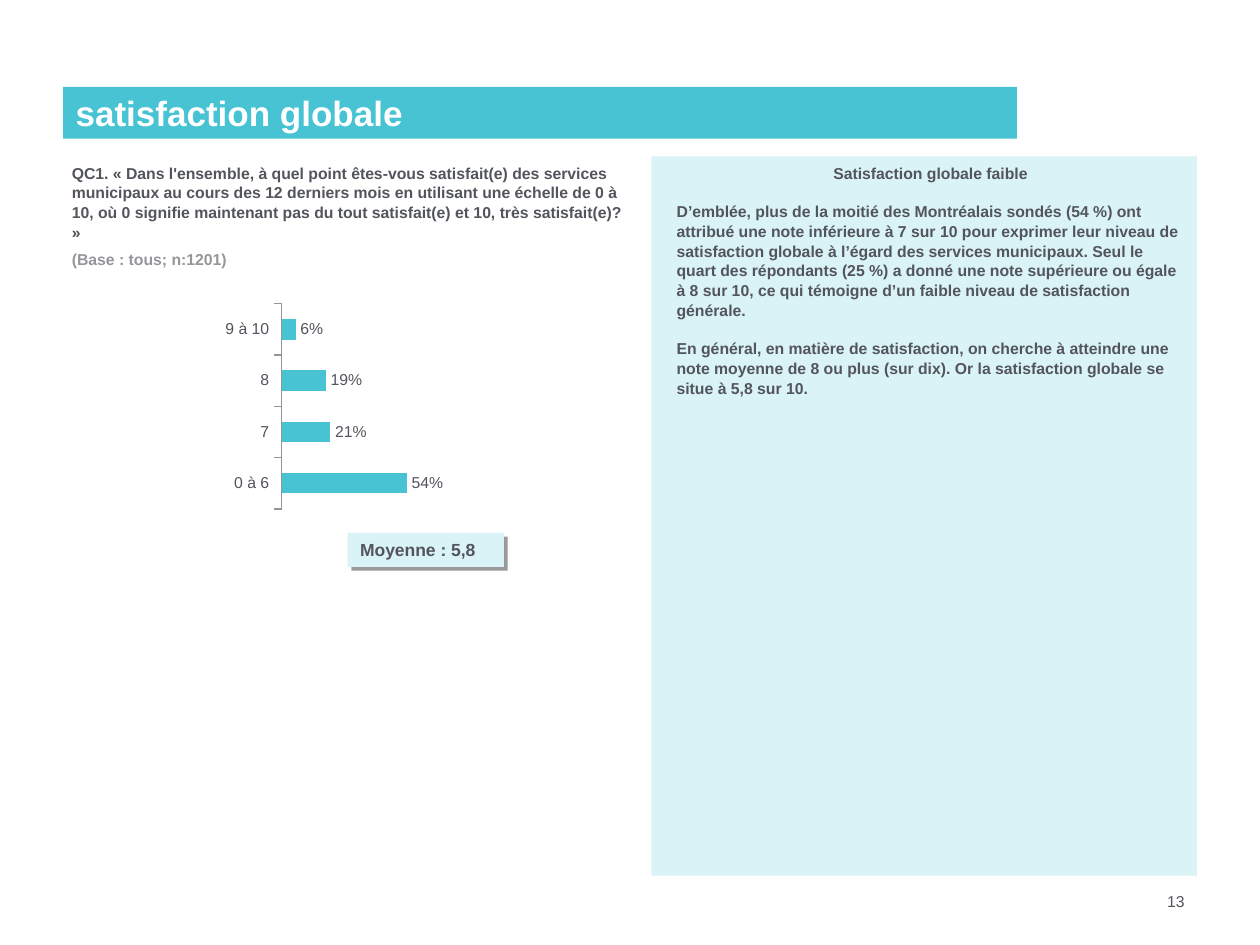
from lxml import etree
from pptx import Presentation
from pptx.chart.data import CategoryChartData
from pptx.dml.color import RGBColor
from pptx.enum.chart import XL_CHART_TYPE, XL_LABEL_POSITION, XL_TICK_MARK
from pptx.enum.shapes import MSO_SHAPE
from pptx.enum.text import MSO_ANCHOR, MSO_AUTO_SIZE, PP_ALIGN
from pptx.oxml import parse_xml
from pptx.oxml.ns import nsdecls, qn
from pptx.util import Inches, Pt

BAR = XL_CHART_TYPE.BAR_CLUSTERED
OUT_END = XL_LABEL_POSITION.OUTSIDE_END
TICK_OUT, TICK_NONE = XL_TICK_MARK.OUTSIDE, XL_TICK_MARK.NONE
RECT = MSO_SHAPE.RECTANGLE
MIDDLE, TOP = MSO_ANCHOR.MIDDLE, MSO_ANCHOR.TOP
LEFT, CENTER, RIGHT = PP_ALIGN.LEFT, PP_ALIGN.CENTER, PP_ALIGN.RIGHT
FIXED = MSO_AUTO_SIZE.NONE

TEAL = RGBColor(0x47, 0xC3, 0xD3)
PALE = RGBColor(0xDA, 0xF3, 0xF6)
WHITE = RGBColor(0xFF, 0xFF, 0xFF)
INK = RGBColor(0x53, 0x55, 0x5C)
DARK = RGBColor(0x4F, 0x4F, 0x51)
GREY = RGBColor(0x94, 0x96, 0x99)
AXIS = RGBColor(0x94, 0x95, 0x97)
FACE = "Arial"

TITLE = [(LEFT, [("satisfaction globale", WHITE)])]
QUERY = [
    (LEFT, [
        ("QC1. ", INK),
        ("«\u00a0", DARK),
        ("Dans l'ensemble, à quel point êtes-vous satisfait(e) des services "
         "municipaux au cours des 12 derniers mois en utilisant une échelle de "
         "0 à 10, où 0 signifie maintenant pas du tout satisfait(e) et 10, "
         "très satisfait(e)? ", INK),
        ("»", DARK),
    ]),
    (LEFT, [("(Base : tous; n:1201)", GREY)]),
]
NOTES = [
    (CENTER, [("Satisfaction globale faible", INK)]),
    (LEFT, [(
        "D’emblée, plus de la moitié des Montréalais sondés (54\u00a0%) ont "
        "attribué une note inférieure à 7 sur 10 pour exprimer leur niveau de "
        "satisfaction globale à l’égard des services municipaux. Seul le quart "
        "des répondants (25\u00a0%) a donné une note supérieure ou égale à 8 "
        "sur 10, ce qui témoigne d’un faible niveau de satisfaction générale.",
        INK)]),
    (LEFT, [(
        "En général, en matière de satisfaction, on cherche à atteindre une "
        "note moyenne de 8 ou plus (sur dix). Or la satisfaction globale se "
        "situe à 5,8 sur 10.", INK)]),
]
MEAN = [(LEFT, [("Moyenne : 5,8", INK)])]
PAGE = [(RIGHT, [("13", INK)])]
SCORES = [("0 à 6", 0.54), ("7", 0.21), ("8", 0.19), ("9 à 10", 0.06)]
PLOT = {"x": 0.284, "y": 0.085, "w": 0.503, "h": 0.765}


def place(shape, box):
    shape.left, shape.top, shape.width, shape.height = map(Inches, box)


def paint(shape, color):
    shape.fill.solid()
    shape.fill.fore_color.rgb = color
    shape.line.fill.background()


def style(font, size, color, bold=False):
    font.name, font.size, font.bold = FACE, Pt(size), bold
    font.color.rgb = color


def write(shape, paras, size, bold=True, anchor=MIDDLE, gap=0, lead=1, inset=None):
    frame = shape.text_frame
    frame.word_wrap = True
    frame.auto_size = FIXED
    frame.vertical_anchor = anchor
    for i, (align, runs) in enumerate(paras):
        para = frame.add_paragraph() if i else frame.paragraphs[0]
        para.alignment = align
        para.line_spacing = lead
        para.space_before = Pt(gap if i else 0)
        if inset is not None:
            props = para._p.get_or_add_pPr()
            props.set("marL", str(Inches(inset)))
            props.set("indent", "0")
            etree.SubElement(props, qn("a:buNone"))
        for text, color in runs:
            run = para.add_run()
            run.text = text
            style(run.font, size, color, bold)


def add_scores(slide, box):
    data = CategoryChartData(number_format="0%")
    data.categories = [name for name, _ in SCORES]
    data.add_series("Series 1", [value for _, value in SCORES])
    chart = slide.shapes.add_chart(BAR, *map(Inches, box), data).chart
    chart.has_legend = chart.has_title = False
    style(chart.font, 9, INK)

    cats, vals = chart.category_axis, chart.value_axis
    cats.major_tick_mark, cats.minor_tick_mark = TICK_OUT, TICK_NONE
    cats.format.line.color.rgb = AXIS
    cats.format.line.width = Pt(0.75)
    style(cats.tick_labels.font, 9, INK)
    vals.minimum_scale, vals.maximum_scale = 0, 1
    vals.has_major_gridlines = vals.visible = False

    plot = chart.plots[0]
    plot.gap_width = 150
    plot.vary_by_categories = False
    bars = plot.series[0]
    bars.format.fill.solid()
    bars.format.fill.fore_color.rgb = TEAL
    labels = bars.data_labels
    labels.show_value = True
    labels.position = OUT_END
    labels.number_format, labels.number_format_is_linked = "0%", False
    style(labels.font, 9, INK)

    area = chart._chartSpace.chart.plotArea
    for old in area.findall(qn("c:layout")):
        area.remove(old)
    modes = "".join(f'<c:{k}Mode val="edge"/>' for k in "xy")
    sizes = "".join(f'<c:{k} val="{v}"/>' for k, v in PLOT.items())
    area.insert(0, parse_xml(
        f'<c:layout {nsdecls("c")}><c:manualLayout><c:layoutTarget val="outer"/>'
        f'{modes}{sizes}</c:manualLayout></c:layout>'))


def add_mean(slide, box):
    mean = slide.shapes.add_shape(RECT, *map(Inches, box))
    paint(mean, PALE)
    mean._element.spPr.append(parse_xml(
        f'<a:effectLst {nsdecls("a")}><a:outerShdw dist="{Pt(3)}" dir="2700000" '
        'algn="tl" rotWithShape="0"><a:srgbClr val="000000">'
        '<a:alpha val="40000"/></a:srgbClr></a:outerShdw></a:effectLst>'))
    write(mean, MEAN, 10)


def main():
    deck = Presentation()
    deck.slide_width, deck.slide_height = Inches(10), Inches(7.5)
    slide = deck.slides.add_slide(deck.slide_layouts[3])
    title, query, notes = slide.placeholders

    place(notes, (5.17, 1.24, 4.33, 5.71))
    paint(notes, PALE)
    write(notes, NOTES, 9, anchor=TOP, gap=10.8, lead=1.04, inset=0.1)

    place(title, (0.5, 0.69, 7.57, 0.41))
    paint(title, TEAL)
    write(title, TITLE, 20)

    place(query, (0.37, 1.24, 4.67, 1.03))
    write(query, QUERY, 9, anchor=TOP, gap=4.5, lead=1.04, inset=0.1)

    add_scores(slide, (0.5, 2.23, 4.54, 2.13))
    add_mean(slide, (2.76, 4.23, 1.24, 0.27))
    page = slide.shapes.add_textbox(*map(Inches, (7.17, 6.95, 2.33, 0.4)))
    write(page, PAGE, 9, bold=False)
    deck.save("out.pptx")


if __name__ == "__main__":
    main()
